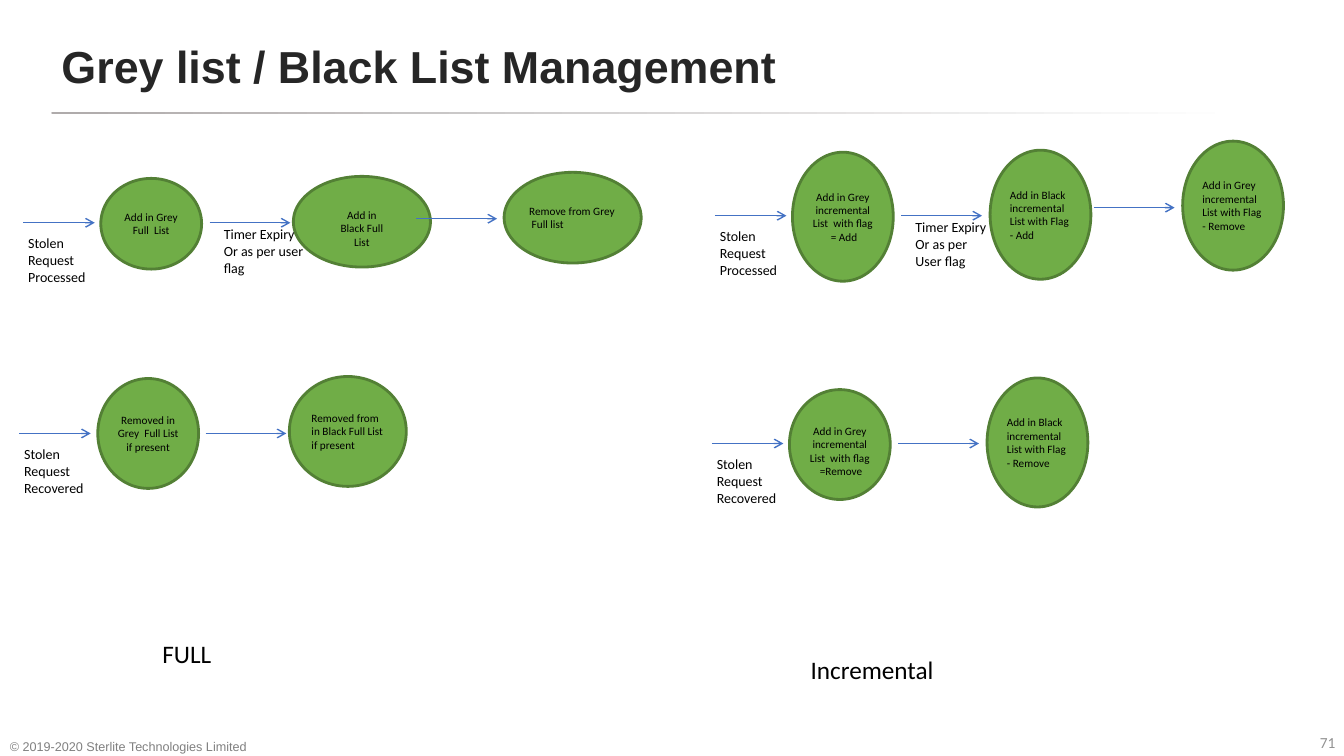
from dataclasses import dataclass

from lxml import etree
from pptx import Presentation
from pptx.dml.color import RGBColor
from pptx.enum.shapes import MSO_CONNECTOR as LINE, MSO_SHAPE as SHAPE
from pptx.enum.text import MSO_ANCHOR as ANCHOR, PP_ALIGN as ALIGN
from pptx.oxml.ns import qn
from pptx.util import Inches, Pt

COLORS = {
    "title": "262626", "rule": "AFABAB", "white": "FFFFFF", "text": "000000",
    "step": "70AD47", "step_line": "538035", "arrow": "4472C4",
    "footer": "808080", "number": "929292",
}
ENTRY_LENGTH, ARROW_LENGTH = 0.71, 0.8


@dataclass
class Step:
    """An ellipse and its incoming arrow, measured from the start of the flow."""
    text: str
    x: float
    center_y: float
    width: float
    height: float
    arrow_x: float = 1.85
    arrow_y: float = 0
    align: ALIGN = ALIGN.LEFT
    text_drop: float = 0


def color(name):
    return RGBColor.from_string(COLORS[name])


def write(frame, text, size, name="text", font="Calibri", bold=False,
          align=ALIGN.LEFT, margin=0.05):
    frame.margin_left = frame.margin_right = Inches(margin)
    frame.margin_top = frame.margin_bottom = Inches(0.05)
    frame.text = text
    for paragraph in frame.paragraphs:
        paragraph.alignment = align
        paragraph.font.name = font
        paragraph.font.size = Pt(size)
        paragraph.font.bold = bold
        paragraph.font.color.rgb = color(name)


def add_label(slide, x, y, width, height, text, size, wrap=False, **style):
    box = slide.shapes.add_textbox(*map(Inches, (x, y, width, height)))
    box.text_frame.word_wrap = wrap
    write(box.text_frame, text, size, **style)
    return box


def add_arrow(slide, x, y, length):
    arrow = slide.shapes.add_connector(
        LINE.STRAIGHT, Inches(x), Inches(y), Inches(x + length), Inches(y))
    arrow.line.color.rgb = color("arrow")
    arrow.line.width = Pt(1)
    etree.SubElement(arrow.line._get_or_add_ln(), qn("a:tailEnd"), type="arrow")
    etree.SubElement(arrow._element.spPr, qn("a:effectLst"))


def add_step(slide, x, y, step):
    ellipse = slide.shapes.add_shape(
        SHAPE.OVAL, Inches(x + step.x), Inches(y + step.center_y - step.height / 2),
        Inches(step.width), Inches(step.height))
    ellipse.shadow.inherit = False
    ellipse.fill.solid()
    ellipse.fill.fore_color.rgb = color("step")
    ellipse.line.color.rgb = color("step_line")
    ellipse.line.width = Pt(2)
    frame = ellipse.text_frame
    frame.word_wrap = True
    frame.vertical_anchor = ANCHOR.MIDDLE
    write(frame, step.text, 8, align=step.align)
    frame.margin_top = Inches(0.05 + step.text_drop)


def add_flow(slide, x, y, request, steps, wait=None):
    """Draw one chain whose entry arrow starts at x, y."""
    first, *following = steps
    add_step(slide, x, y, first)
    add_arrow(slide, x, y, ENTRY_LENGTH)
    add_label(slide, x, y + 0.07, 0.7, 0.77, request, 10)
    for step in following:
        add_step(slide, x, y, step)
    for step in following:
        add_arrow(slide, x + step.arrow_x, y + step.arrow_y, ARROW_LENGTH)
    if wait:
        add_label(slide, x + 1.94, y - 0.02, 0.9, 0.77, wait, 10)


def add_header(slide):
    rule = slide.shapes.add_shape(
        SHAPE.ROUNDED_RECTANGLE, *map(Inches, (0.51, 1.11, 12.31, 0.02)))
    rule.adjustments[0] = 0.5
    rule.shadow.inherit = False
    rule.line.fill.background()
    rule.fill.gradient()
    rule.fill.gradient_angle = 0
    start, end = rule.fill.gradient_stops
    start.color.rgb, start.position = color("rule"), 0
    end.color.rgb, end.position = color("white"), 0.96

    title = slide.shapes.title
    title.left, title.top, title.width, title.height = map(
        Inches, (0.51, 0.21, 9.92, 0.88))
    title.text_frame.vertical_anchor = ANCHOR.MIDDLE
    write(title.text_frame, "Grey list / Black List Management", 32, name="title",
          font="Arial", bold=True, margin=0.1)


def add_footer(slide):
    add_label(slide, 13.04, 7.22, 0.27, 0.25, "71", 11, name="number")
    notice = add_label(slide, 0, 7.22, 3.03, 0.31,
                       "© 2019-2020 Sterlite Technologies Limited", 9, wrap=True,
                       name="footer", font="Arial", margin=0.1)
    notice.text_frame.vertical_anchor = ANCHOR.BOTTOM


def add_full_side(slide, x):
    add_flow(slide, x + 0.04, 2.21, "Stolen\nRequest\nProcessed", [
        Step("Add in Grey Full  List", 0.77, 0.01, 1, 0.9, align=ALIGN.CENTER),
        Step("Add in\nBlack Full\nList", 2.68, -0.01, 1.36, 0.9,
             align=ALIGN.CENTER, text_drop=0.13),
        Step("Remove from Grey  Full list", 4.77, -0.05, 1.36, 0.9, 3.9, -0.04),
    ], "Timer Expiry\nOr as per user\nflag")
    add_flow(slide, x, 4.3, "Stolen\nRequest\nRecovered", [
        Step("Removed in Grey  Full List if present", 0.78, 0, 1, 1.09,
             align=ALIGN.CENTER),
        Step("Removed from in Black Full List if present", 2.68, -0.02, 1.16, 1.09),
    ])
    add_label(slide, x + 1.37, 6.28, 2.48, 0.4, "FULL", 18, wrap=True)


def add_incremental_side(slide, x):
    add_flow(slide, x + 0.03, 2.14, "Stolen\nRequest\nProcessed", [
        Step("Add in Grey incremental List  with flag  = Add", 0.77, 0.01, 1, 1.28,
             align=ALIGN.CENTER),
        Step("Add in Black incremental List with Flag - Add", 2.73, -0.01, 1, 1.28),
        Step("Add in Grey incremental List with Flag - Remove", 4.64, -0.1, 1, 1.28,
             3.76, -0.08),
    ], "Timer Expiry\nOr as per\nUser flag")
    add_flow(slide, x, 4.4, "Stolen\nRequest\nRecovered", [
        Step("Add in Grey incremental List  with flag  =Remove", 0.77, 0.01, 1, 1.09,
             align=ALIGN.CENTER, text_drop=0.13),
        Step("Add in Black incremental List with Flag - Remove", 2.73, -0.01, 1, 1.28),
    ])
    add_label(slide, x + 0.93, 6.44, 2.48, 0.4, "Incremental", 18, wrap=True)


def main():
    deck = Presentation()
    deck.slide_width, deck.slide_height = Inches(13.33), Inches(7.5)
    slide = deck.slides.add_slide(deck.slide_layouts.get_by_name("Title Only"))
    add_header(slide)
    add_footer(slide)
    add_full_side(slide, 0.19)
    add_incremental_side(slide, 7.06)
    deck.save("out.pptx")


if __name__ == "__main__":
    main()
